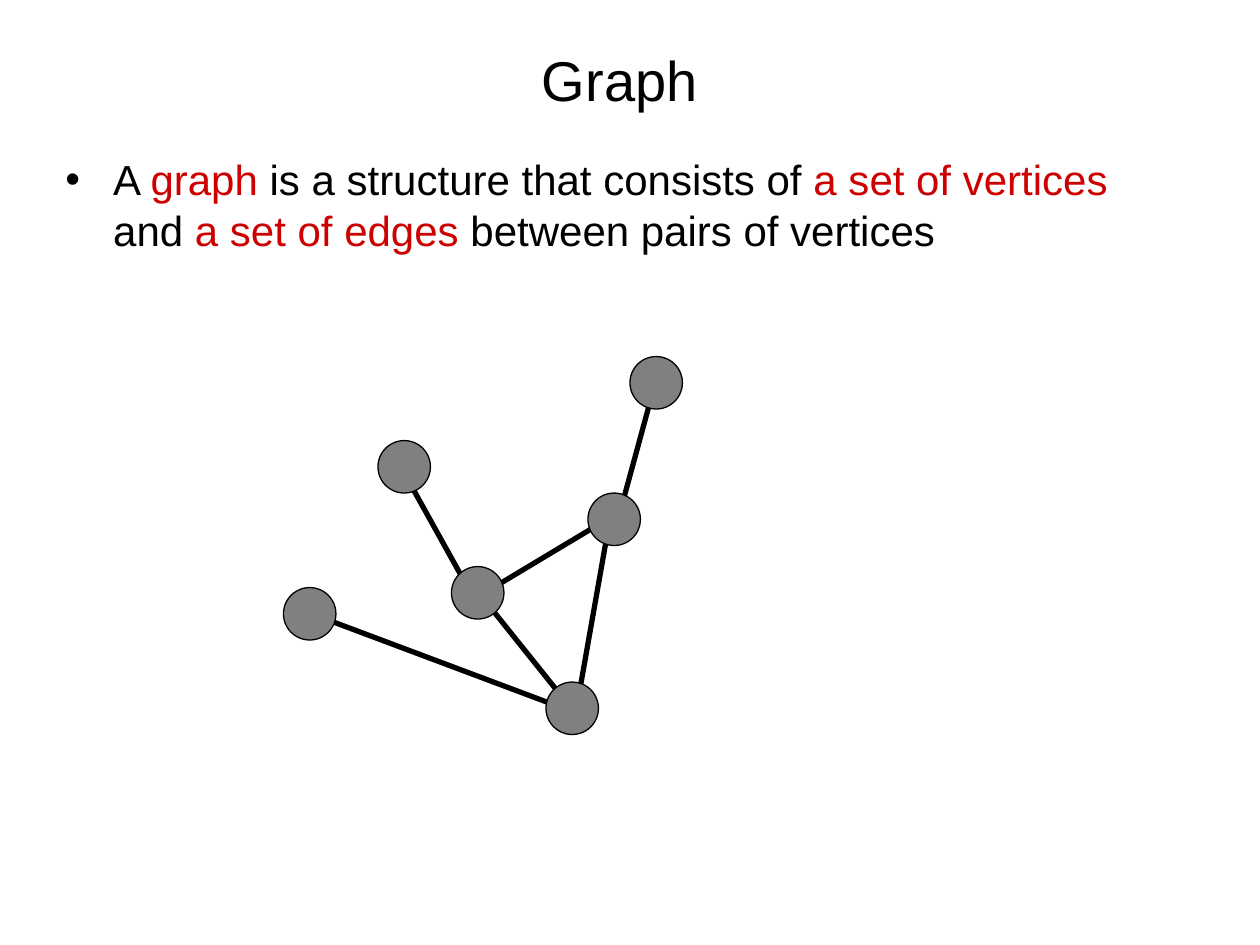
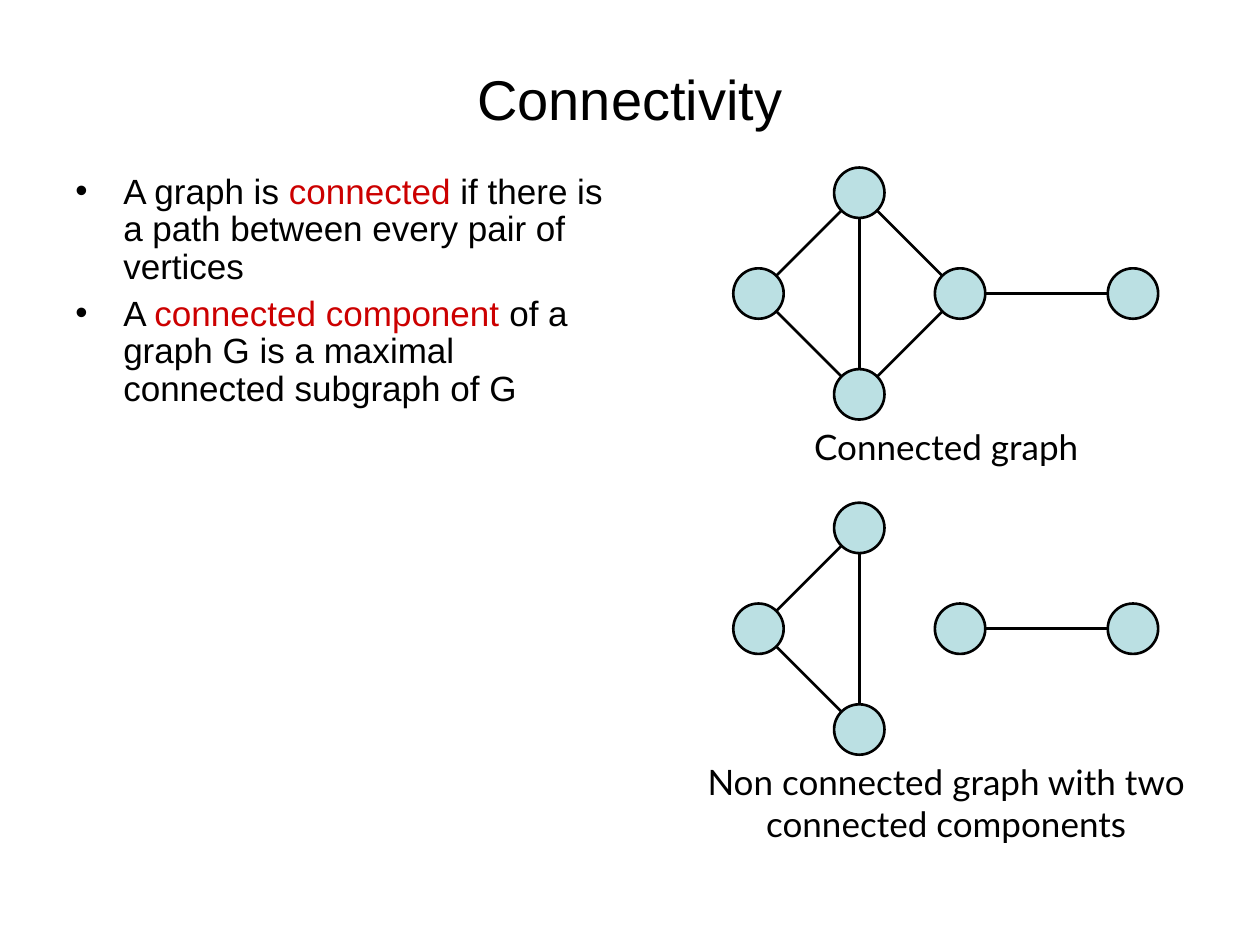
from math import hypot

from lxml import etree
from pptx import Presentation
from pptx.dml.color import RGBColor
from pptx.enum.shapes import MSO_CONNECTOR, MSO_SHAPE
from pptx.enum.text import MSO_ANCHOR, PP_ALIGN
from pptx.oxml.ns import qn
from pptx.util import Inches, Pt

STRAIGHT = MSO_CONNECTOR.STRAIGHT
ELLIPSE = MSO_SHAPE.OVAL
CENTER, LEFT = PP_ALIGN.CENTER, PP_ALIGN.LEFT
TOP, MIDDLE = MSO_ANCHOR.TOP, MSO_ANCHOR.MIDDLE

BLACK, RED, GRAY, AQUA = "000000", "CC0000", "808080", "BBE0E3"
SANS, CAPTION_FONT = "Arial", "Lato"

TWELFTHS = {"unit": 1 / 12, "size": 5, "fill": GRAY, "outline": 0.75, "edge": 3}
DIAMOND = {"unit": 0.4, "size": 1, "fill": AQUA, "outline": 1.5, "edge": 1.5}

SCATTERED = [(9, 8), (16, 20), (0, 22), (29, 13), (25, 31), (33, 0)]
SCATTERED_EDGES = [
    ((31, 16), (28, 33)), ((19, 23), (27, 33)), ((4, 25), (28, 34)),
    ((35, 4), (32, 15)), ((20, 22), (30, 16)), ((12, 12), (17, 21)),
]
KITE = {"right": (4, 2), "left": (0, 2), "top": (2, 0), "bottom": (2, 4), "far": (7.43, 2)}
COMPONENTS = [("top", "left"), ("bottom", "left"), ("top", "bottom"), ("right", "far")]
CONNECTED = COMPONENTS + [("bottom", "right"), ("top", "right")]


def color(value):
    return RGBColor.from_string(value)


def set_attrs(obj, values):
    for name, value in values.items():
        setattr(obj, name, value)


def add_text(sl, box, paragraphs, size, font=SANS, anchor=TOP, fmt=None):
    tf = sl.shapes.add_textbox(*map(Inches, box)).text_frame
    set_attrs(tf, {"word_wrap": True, "vertical_anchor": anchor})
    for i, runs in enumerate(paragraphs):
        p = tf.add_paragraph() if i else tf.paragraphs[0]
        set_attrs(p, fmt or {"alignment": CENTER})
        for text, value in runs:
            r = p.add_run()
            r.text = text
            set_attrs(r.font, {"name": font, "size": Pt(size)})
            r.font.color.rgb = color(value)
    return tf


def add_title(sl, box, text):
    add_text(sl, box, [[(text, BLACK)]], 32, anchor=MIDDLE)


def add_bullets(sl, box, paragraphs, size, before, spacing=1.0):
    fmt = {"alignment": LEFT, "space_before": Pt(before), "line_spacing": spacing}
    tf = add_text(sl, box, paragraphs, size, fmt=fmt)
    for p in tf.paragraphs:
        pPr = p._p.get_or_add_pPr()
        pPr.set("marL", str(Inches(0.38)))
        pPr.set("indent", str(Inches(-0.38)))
        clr = etree.SubElement(pPr, qn("a:buClr"))
        etree.SubElement(clr, qn("a:srgbClr"), val=BLACK)
        etree.SubElement(pPr, qn("a:buFont"), typeface=SANS)
        etree.SubElement(pPr, qn("a:buChar"), char="•")


def add_graph(shapes, left, top, vertices, edges, style):
    def place(point):
        return Inches(left + point[0] * style["unit"]), Inches(top + point[1] * style["unit"])

    for start, end in edges:
        cn = shapes.add_connector(STRAIGHT, *place(start), *place(end))
        cn.line.width = Pt(style["edge"])
        cn.line.color.rgb = color(BLACK)
        etree.SubElement(cn._element.spPr, qn("a:effectLst"))
    side = Inches(style["size"] * style["unit"])
    for vertex in vertices:
        s = shapes.add_shape(ELLIPSE, *place(vertex), side, side)
        s.shadow.inherit = False
        s.fill.solid()
        s.fill.fore_color.rgb = color(style["fill"])
        s.line.width = Pt(style["outline"])
        s.line.color.rgb = color(BLACK)


def rim_to_rim(a, b, radius=0.5):
    dx, dy = b[0] - a[0], b[1] - a[1]
    ux, uy = (radius * d / hypot(dx, dy) for d in (dx, dy))
    return ((a[0] + radius + ux, a[1] + radius + uy),
            (b[0] + radius - ux, b[1] + radius - uy))


def add_captioned_kite(sl, left, top, pairs, caption, width, height):
    edges = [rim_to_rim(KITE[a], KITE[b]) for a, b in pairs]
    group = sl.shapes.add_group_shape()
    add_graph(group.shapes, left, top, KITE.values(), edges, DIAMOND)
    box = (left + 1.69 - width / 2, top + 2, width, height)
    add_text(sl, box, [[(caption, BLACK)]], 20, CAPTION_FONT)


def graph_slide(sl):
    add_graph(sl.shapes, 2.25, 2.83, SCATTERED, SCATTERED_EDGES, TWELFTHS)
    add_title(sl, (0.42, 0, 9, 1.25), "Graph")
    add_bullets(sl, (0.42, 1.17, 8.91, 3.25), [[
        ("A ", BLACK), ("graph", RED), (" is a structure that consists of ", BLACK),
        ("a set of vertices", RED), (" and ", BLACK), ("a set of edges", RED),
        (" between pairs of vertices", BLACK),
    ]], 24, 6)


def connectivity_slide(sl):
    add_title(sl, (0.5, 0.3, 9, 0.95), "Connectivity")
    add_bullets(sl, (0.5, 1.33, 4.41, 5.75), [
        [("A graph is ", BLACK), ("connected", RED),
         (" if there is a path between every pair of vertices", BLACK)],
        [("A ", BLACK), ("connected component", RED),
         (" of a graph G is a maximal connected subgraph of G", BLACK)],
    ], 20, 5, 0.9)
    add_captioned_kite(sl, 5.82, 1.33, CONNECTED, "Connected graph", 3.12, 0.44)
    add_captioned_kite(sl, 5.82, 3.99, COMPONENTS,
                       "Non connected graph with two connected components", 3.99, 0.77)


def main():
    prs = Presentation()
    set_attrs(prs, {"slide_width": Inches(10), "slide_height": Inches(7.5)})
    for build in (graph_slide, connectivity_slide):
        build(prs.slides.add_slide(prs.slide_layouts[6]))
    prs.save("out.pptx")


if __name__ == "__main__":
    main()
